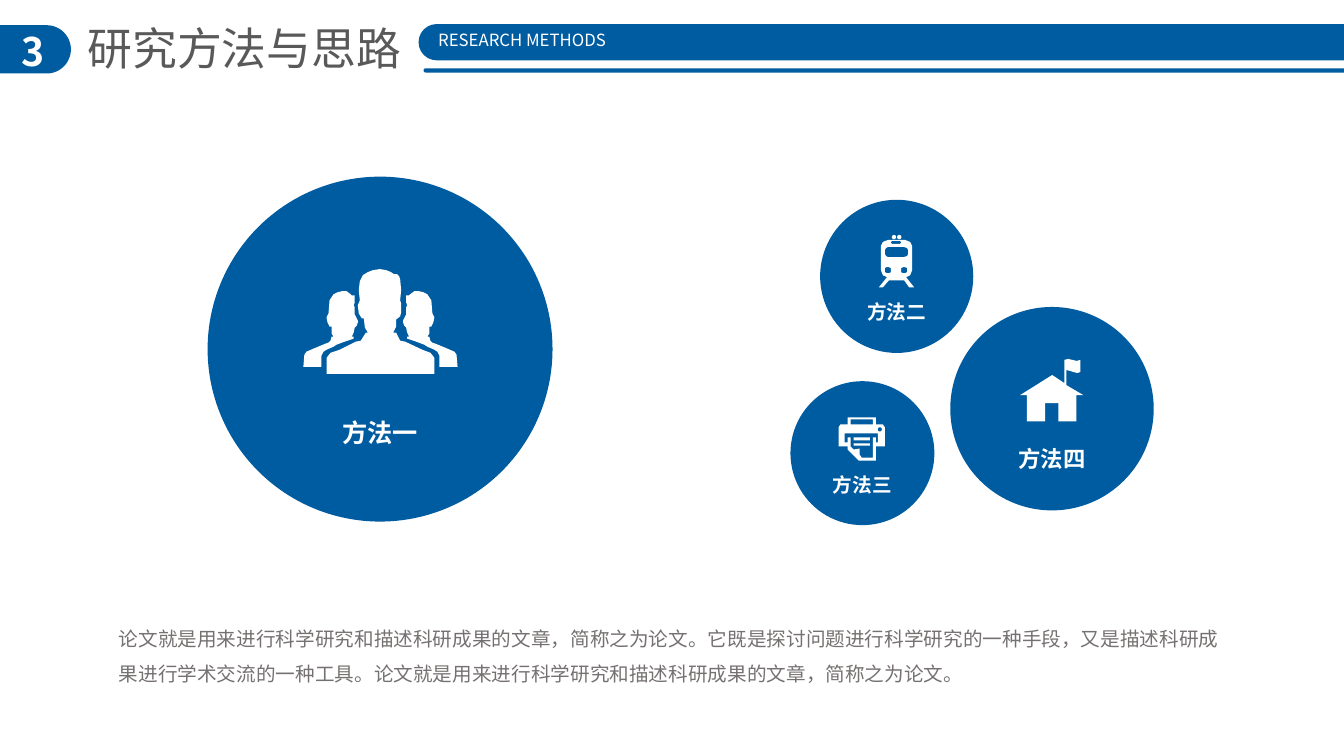
import math

import pptx
import pptx.dml.color
import pptx.enum.shapes
import pptx.enum.text
import pptx.oxml.ns
import pptx.util
from lxml import etree

Pt = pptx.util.Pt
MSO_SHAPE = pptx.enum.shapes.MSO_SHAPE
PP_ALIGN = pptx.enum.text.PP_ALIGN

COLORS = {"blue": "005CA1", "white": "FFFFFF", "title": "595959", "body": "767171"}
FONT = "Noto Sans CJK SC"
ICON_UNIT = 0.72  # points per icon grid step


def ring(cx, cy, radius, steps=12):
    turns = [2 * math.pi * i / steps for i in range(steps)]
    return [(cx + radius * math.cos(a), cy + radius * math.sin(a)) for a in turns]


def box(left, top, right, bottom):
    return [(left, top), (right, top), (right, bottom), (left, bottom)]


BACK_PERSON = [
    (50, 16), (51, 13), (51, 6), (48, 6), (47, 5), (43, 2), (38, 2), (34, 3), (30, 5),
    (26, 11), (25, 24), (23, 28), (24, 33), (26, 37), (28, 37), (28, 44), (30, 47),
    (28, 47), (27, 51), (25, 53), (22, 54), (10, 59), (3, 62), (1, 65), (0, 77),
    (18, 77), (18, 66), (20, 62), (23, 60), (30, 57), (33, 55), (41, 52), (50, 49),
    (50, 47), (48, 47), (50, 43), (51, 38), (53, 36), (54, 33), (54, 31), (51, 25),
    (51, 18)]
BACK_PAIR = [BACK_PERSON, [(153 - x, y) for x, y in BACK_PERSON]]
FRONT_PERSON = [[
    (73, 12), (74, 23), (73, 33), (74, 36), (74, 45), (73, 49), (69, 52), (69, 59),
    (66, 65), (69, 65), (73, 73), (78, 74), (95, 82), (103, 85), (107, 90), (107, 106),
    (0, 106), (0, 90), (4, 85), (13, 82), (29, 74), (34, 73), (39, 65), (41, 65),
    (38, 60), (37, 51), (35, 51), (32, 46), (31, 38), (33, 33), (32, 23), (33, 14),
    (36, 8), (41, 5), (46, 3), (53, 2), (59, 3), (64, 5), (67, 7), (70, 7), (72, 9)]]
TRAIN = [
    [(27, 37), (31, 35), (33, 30), (33, 6), (31, 2), (26, 0), (9, 0), (4, 2), (2, 6),
     (2, 30), (4, 35), (8, 37), (0, 47), (4, 47), (10, 40), (25, 40), (30, 47), (35, 47)],
    [(12, 2), (13, 1), (21, 1), (22, 2), (22, 3), (21, 4), (13, 4), (12, 3)],
    [(9, 17), (7, 16), (6, 14), (6, 10), (7, 8), (9, 7), (25, 7), (28, 8), (29, 10),
     (29, 14), (28, 16), (25, 17)],
    ring(9, 30, 3),
    ring(25, 30, 3)]
HOUSE = [[
    (46, 29), (46, 14), (50, 15), (53, 16), (57, 17), (60, 16), (60, 4), (56, 5), (52, 4),
    (48, 3), (44, 4), (44, 27), (32, 19), (0, 39), (7, 39), (7, 65), (25, 65), (25, 47),
    (38, 47), (38, 65), (56, 65), (56, 39), (63, 39)]]
PRINTER = [
    [(44, 7), (37, 7), (37, 0), (9, 0), (9, 7), (2, 7), (0, 10), (0, 29), (9, 29), (9, 32),
     (20, 43), (37, 43), (37, 29), (46, 29), (46, 10)],
    box(12, 2, 34, 7),
    [(39, 25), (37, 25), (37, 20), (34, 20), (34, 40), (23, 40), (21, 37), (21, 31),
     (15, 32), (12, 29), (12, 20), (9, 20), (9, 25), (6, 25), (6, 16), (39, 16)],
    ring(41, 12, 2),
    box(15, 20, 31, 23),
    box(15, 26, 31, 28)]


class Deck:
    def __init__(self, slide):
        self.shapes = slide.shapes

    def paint(self, sp, color):
        sp.shadow.inherit = False
        sp.fill.solid()
        sp.fill.fore_color.rgb = pptx.dml.color.RGBColor.from_string(COLORS[color])
        sp.line.fill.background()
        return sp

    def pill(self, x, y, w, h):
        sp = self.shapes.add_shape(MSO_SHAPE.ROUNDED_RECTANGLE, Pt(x), Pt(y), Pt(w), Pt(h))
        sp.adjustments[0] = 0.5
        return self.paint(sp, "blue")

    def circle(self, x, y, d, color="blue"):
        sp = self.shapes.add_shape(MSO_SHAPE.OVAL, Pt(x), Pt(y), Pt(d), Pt(d))
        return self.paint(sp, color)

    def icon(self, x, y, outlines):
        """Draw white outlines as one shape; inner outlines become holes."""
        first, *others = outlines
        builder = self.shapes.build_freeform(*first[0], scale=Pt(ICON_UNIT))
        builder.add_line_segments(first[1:], close=True)
        for outline in others:
            builder.move_to(*outline[0])
            builder.add_line_segments(outline[1:], close=True)
        return self.paint(builder.convert_to_shape(Pt(x), Pt(y)), "white")

    def text(self, x, y, w, h, text, size, color="white", bold=False,
             align=PP_ALIGN.LEFT, wrap=False, spacing=None):
        sp = self.shapes.add_textbox(Pt(x), Pt(y), Pt(w), Pt(h))
        tf = sp.text_frame
        tf.word_wrap = wrap
        p = tf.paragraphs[0]
        p.text = text
        p.alignment = align
        p.line_spacing = spacing
        r = p.runs[0]
        r.font.size = Pt(size)
        r.font.bold = bold
        r.font.name = FONT
        r.font.color.rgb = pptx.dml.color.RGBColor.from_string(COLORS[color])
        ea = etree.SubElement(r.font._element, pptx.oxml.ns.qn("a:ea"))
        ea.set("typeface", FONT)
        return sp

    def method(self, x, y, d, name, size, name_y, icons):
        """A blue circle with its icons and a centred name."""
        self.circle(x, y, d)
        w = 3 * size + 14.4
        self.text(x + (d - w) / 2, name_y, w, 1.2 * size + 7.2, name, size, bold=True,
                  align=PP_ALIGN.CENTER)
        for icon in icons:
            self.icon(*icon)


def main():
    prs = pptx.Presentation()
    prs.slide_width, prs.slide_height = Pt(960), Pt(540)
    s = Deck(prs.slides.add_slide(prs.slide_layouts[6]))

    s.pill(-20, 18, 70.7, 34.5)
    s.text(5, 15.8, 36.7, 41, "3", 28, bold=True, align=PP_ALIGN.CENTER, wrap=True)
    s.text(55.4, 11.5, 240.5, 46, "研究方法与思路", 32, "title")
    s.pill(299, 17.2, 701, 25.9)
    s.pill(302.5, 48.8, 794, 3)
    s.text(302.5, 18, 141, 21.8, "RESEARCH METHODS", 12, align=PP_ALIGN.CENTER)

    s.method(148.3, 126.2, 246.4, "方法一", 18, 294.5,
             [(216.7, 206.6, BACK_PAIR), (233.3, 190.8, FRONT_PERSON)])
    s.method(585.8, 142.7, 109.4, "方法二", 14, 211, [(627.8, 171.4, TRAIN)])
    for lamp_x in (637, 640.8):
        s.circle(lamp_x, 167.8, 3.1, "white")
    s.method(678.8, 219.3, 145.3, "方法四", 16, 314.6, [(728.6, 254.2, HOUSE)])
    s.method(564.6, 272.3, 102.8, "方法三", 14, 334.1, [(599, 298.1, PRINTER)])

    s.text(77.8, 435.6, 804.2, 58.3,
           "论文就是用来进行科学研究和描述科研成果的文章，简称之为论文。"
           "它既是探讨问题进行科学研究的一种手段，又是描述科研成果进行学术交流的一种工具。"
           "论文就是用来进行科学研究和描述科研成果的文章，简称之为论文。",
           14, "body", wrap=True, spacing=1.5)
    prs.save("out.pptx")


if __name__ == "__main__":
    main()
